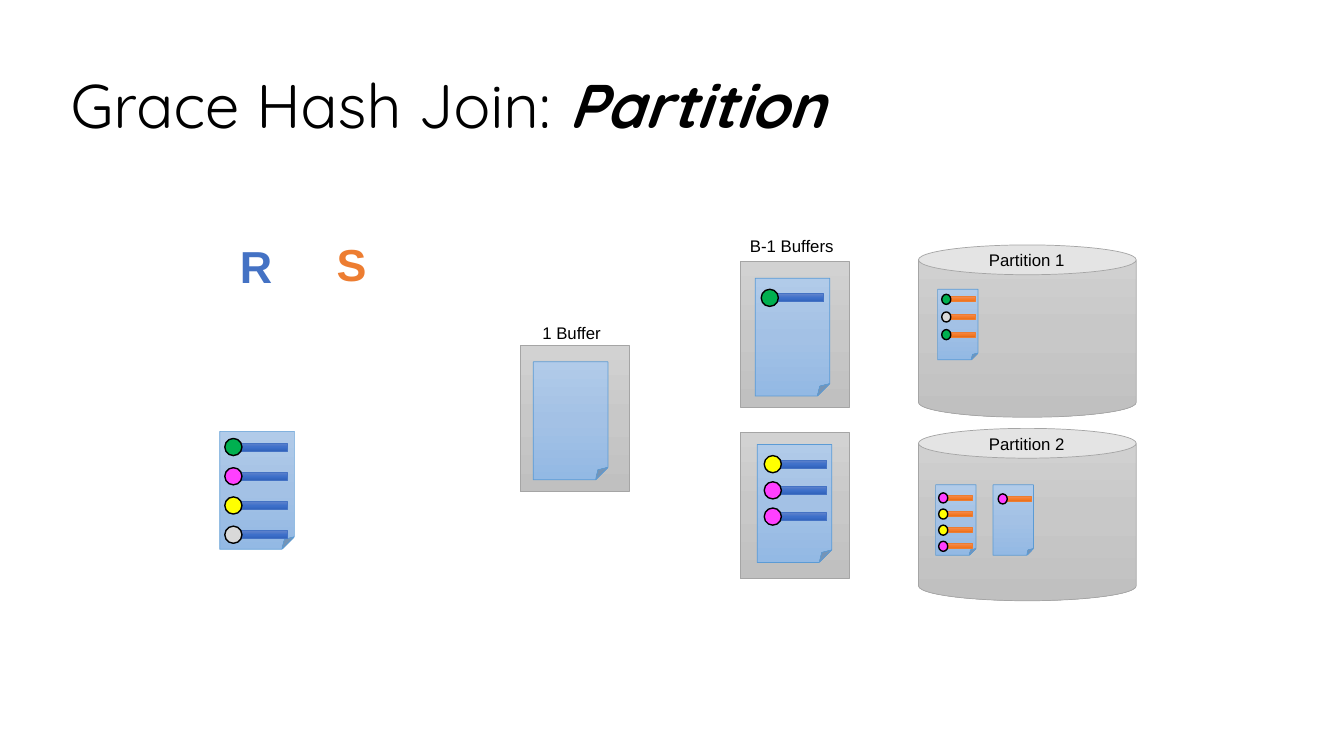
from copy import deepcopy
from pptx import Presentation
from pptx.dml.color import RGBColor
from pptx.enum.shapes import MSO_SHAPE
from pptx.enum.text import MSO_ANCHOR, MSO_AUTO_SIZE, PP_ALIGN
from pptx.util import Inches, Pt

RECT, OVAL = MSO_SHAPE.RECTANGLE, MSO_SHAPE.OVAL
CAN, PAGE = MSO_SHAPE.CAN, MSO_SHAPE.FOLDED_CORNER
MIDDLE, LEFT = MSO_ANCHOR.MIDDLE, PP_ALIGN.LEFT
NO_FIT = MSO_AUTO_SIZE.NONE

COLORS = {
    "black": "000000", "R": "4472C4", "S": "ED7D31",
    "green": "00B050", "pink": "FF40FF", "yellow": "FFFF00", "gray": "D9D9D9",
    "box_line": "A5A5A5", "page_line": "5B9BD5",
}
GRADIENTS = {
    "box": ("D2D2D2", "C8C8C8", "C0C0C0"),
    "page": ("B1CBE9", "A3C1E5", "93B9E4"),
    "R": ("6183CB", "3E70CA", "3062BB"),
    "S": ("F18C57", "F67B28", "E56C19"),
}
TITLE = [("Grace Hash Join:", False), (" Partition", True)]
LABELS = [
    ("B-1 Buffers", 7.34, 2.29, 1.04),
    ("1 Buffer", 5.28, 3.15, 0.79),
    ("Partition 1", 9.71, 2.43, 0.96),
    ("Partition 2", 9.71, 4.25, 0.96),
]
RELATIONS = [("R", 2.28, 2.32, 0.53), ("S", 3.24, 2.3, 0.5)]
BUFFERS = [(7.34, 2.59), (7.34, 4.29), (5.16, 3.43)]
PARTITIONS = [(9.11, 2.43), (9.11, 4.25)]
BUFFER_SIZE, PARTITION_SIZE = (1.08, 1.45), (2.16, 1.71)
SIZES = {
    "R": {"page": (0.74, 1.17), "dot": (0.17, 0.17), "bar": (0.52, 0.08), "shift": 0.1},
    "S": {"page": (0.4, 0.7), "dot": (0.09, 0.1), "bar": (0.28, 0.05), "shift": 0.05},
}
PAGES = [
    ("R", (2.18, 4.28), (0.05, 0.07), 0.29, ["green", "pink", "yellow", "gray"]),
    ("R", (5.29, 3.59), (0, 0), 0, []),
    ("R", (7.49, 2.76), (0.06, 0.11), 0, ["green"]),
    ("R", (7.51, 4.41), (0.07, 0.11), 0.26, ["yellow", "pink", "pink"]),
    ("S", (9.3, 2.87), (0.04, 0.05), 0.175, ["green", "gray", "green"]),
    ("S", (9.28, 4.81), (0.03, 0.08), 0.16, ["pink", "yellow", "yellow", "pink"]),
    ("S", (9.85, 4.81), (0.05, 0.09), 0, ["pink"]),
]

prs = Presentation()
prs.slide_width, prs.slide_height = Inches(13.33), Inches(7.5)
s = prs.slides.add_slide(prs.slide_layouts[5])


def rgb(name):
    return RGBColor.from_string(COLORS[name])


def add_text(p, text, size=12, font="Arial", color="black", bold=False, italic=False):
    r = p.add_run()
    r.text = text
    r.font.size, r.font.name = Pt(size), font
    r.font.bold, r.font.italic = bold, italic
    r.font.color.rgb = rgb(color)


def add_label(text, x, y, w, h, **fmt):
    tf = s.shapes.add_textbox(Inches(x), Inches(y), Inches(w), Inches(h)).text_frame
    tf.word_wrap = False
    add_text(tf.paragraphs[0], text, **fmt)


def add_figure(kind, at, size, line, gradient=None, fill=None, width=0.5):
    sp = s.shapes.add_shape(kind, *map(Inches, (*at, *size)))
    sp.shadow.inherit = False
    sp.line.color.rgb = rgb(line)
    sp.line.width = Pt(width)
    if fill:
        sp.fill.solid()
        sp.fill.fore_color.rgb = rgb(fill)
        return sp
    sp.fill.gradient()
    sp.fill.gradient_angle = 270
    stops = sp._element.spPr.xpath("a:gradFill/a:gsLst")[0]
    stops.append(deepcopy(stops[0]))
    for i, stop in enumerate(sp.fill.gradient_stops):
        stop.position = i / 2
        stop.color.rgb = RGBColor.from_string(GRADIENTS[gradient][i])
    return sp


def add_page(relation, at, inset, pitch, records):
    size = SIZES[relation]
    add_figure(PAGE, at, size["page"], "page_line", gradient="page")
    x = at[0] + inset[0]
    for i, color in enumerate(records):
        y = at[1] + inset[1] + i * pitch
        bar_y = y + (size["dot"][1] - size["bar"][1]) / 2
        add_figure(RECT, (x + size["shift"], bar_y), size["bar"], relation, gradient=relation)
        add_figure(OVAL, (x, y), size["dot"], "black", fill=color, width=1)


title = s.shapes.title
title.left, title.top, title.width, title.height = map(Inches, (0.6, 0.35, 11.81, 1.45))
tf = title.text_frame
tf.vertical_anchor, tf.auto_size, tf.word_wrap = MIDDLE, NO_FIT, True
p = tf.paragraphs[0]
p.alignment, p.line_spacing = LEFT, 0.9
for text, strong in TITLE:
    add_text(p, text, size=44, font="Quicksand", bold=strong, italic=strong)

for at in BUFFERS:
    add_figure(RECT, at, BUFFER_SIZE, "box_line", gradient="box")
for at in PARTITIONS:
    can = add_figure(CAN, at, PARTITION_SIZE, "box_line", gradient="box")
    can.adjustments[0] = 0.173
for text, x, y, w in LABELS:
    add_label(text, x, y, w, 0.3)
for name, x, y, w in RELATIONS:
    add_label(name, x, y, w, 0.64, size=32, color=name, bold=True)
for page in PAGES:
    add_page(*page)

prs.save("out.pptx")
